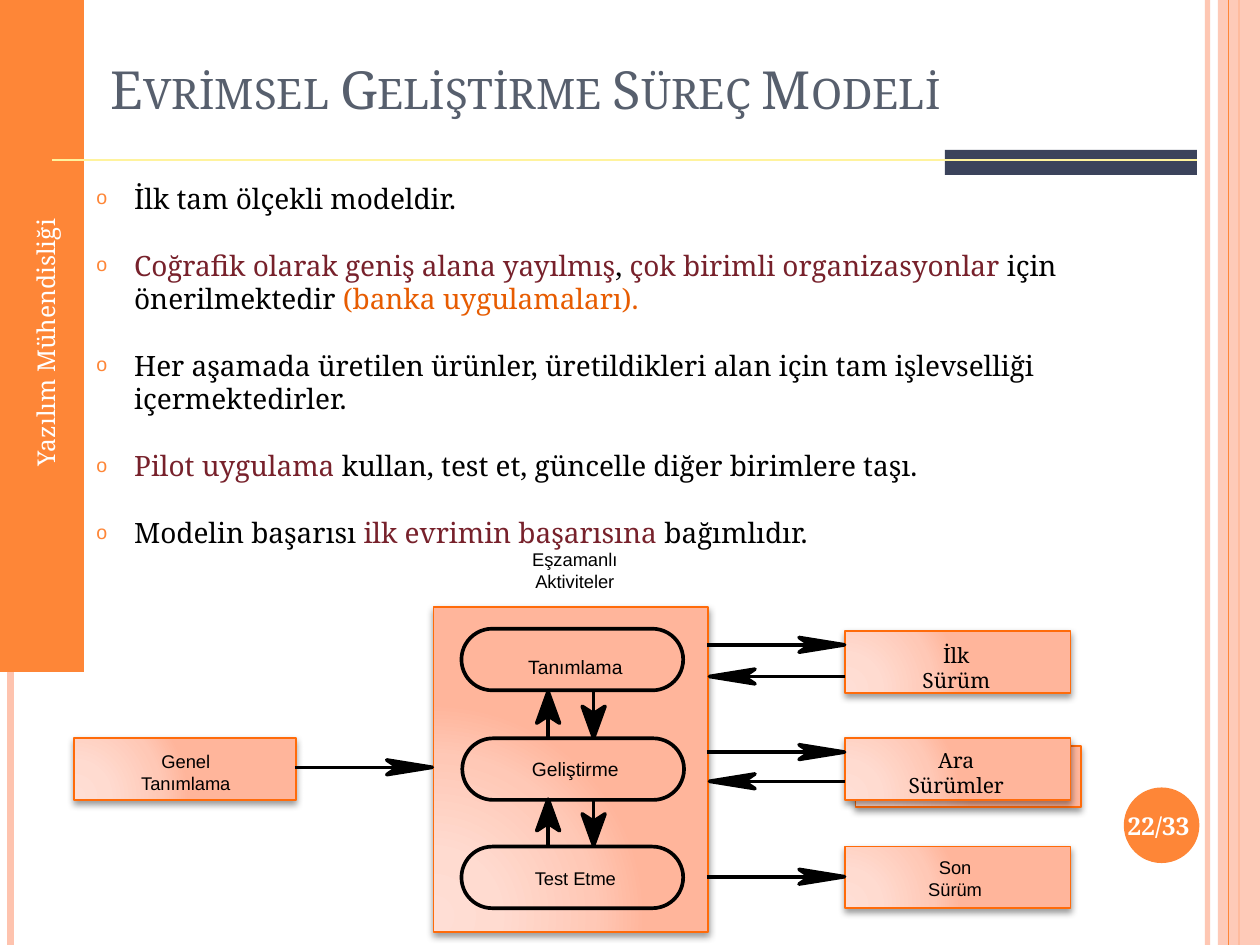
import math
from lxml import etree
from pptx import Presentation
from pptx import util as u
from pptx.dml.color import RGBColor
from pptx.enum import lang, shapes, text
from pptx.oxml import ns

Pt = u.Pt
SERIF, SANS = "Noto Serif", "Arial"
BLACK, WHITE, ORANGE, PEACH = "000000", "FFFFFF", "FE8637", "FEC3AE"
WINE, RUST, SLATE, NAVY, CREAM = "77212B", "E75C01", "575F6D", "3B435B", "FFF39D"
KIND = shapes.MSO_SHAPE
CENTER, LEFT, RIGHT = text.PP_ALIGN.CENTER, text.PP_ALIGN.LEFT, text.PP_ALIGN.RIGHT
TOP, MIDDLE, BOTTOM = (text.MSO_ANCHOR.TOP, text.MSO_ANCHOR.MIDDLE,
                       text.MSO_ANCHOR.BOTTOM)

# Content
TITLE = "Evrimsel Geliştirme Süreç Modeli"
BULLETS = [
    [("İlk tam ölçekli modeldir.", BLACK)],
    [("Coğrafik olarak geniş alana yayılmış", WINE), (", ", BLACK),
     ("çok birimli organizasyonlar", WINE), (" için önerilmektedir ", BLACK),
     ("(banka uygulamaları).", RUST)],
    [("Her aşamada üretilen ürünler, üretildikleri alan için tam işlevselliği "
      "içermektedirler.", BLACK)],
    [("Pilot uygulama", WINE),
     (" kullan, test et, güncelle diğer birimlere taşı.", BLACK)],
    [("Modelin başarısı ", BLACK), ("ilk evrimin başarısına", WINE),
     (" bağımlıdır.", BLACK)],
]
# Diagram labels: lines, left, top, width, font, size, line pitch
LABELS = [
    (["Eşzamanlı", "Aktiviteler"], 290, 309.6, 77, SANS, 10.5, 12.5),
    (["Tanımlama"], 273, 371.5, 111.6, SANS, 11, 12.6),
    (["Geliştirme"], 273, 430, 111.6, SANS, 11, 12.6),
    (["Test Etme"], 273, 492, 111.6, SANS, 10.5, 12.5),
    (["Genel", "Tanımlama"], 50.4, 425, 111.6, SANS, 10.5, 12.5),
    (["İlk", "Sürüm"], 486.7, 363.6, 119.5, SERIF, 12, 14.4),
    (["Ara", "Sürümler"], 486.7, 423.4, 119.5, SERIF, 12, 14.4),
    (["Son", "Sürüm"], 490, 486, 111.6, SANS, 10.5, 12.5),
]
BOX_W, BOX_H = 128.8, 35.2
STEP_W = 126.7
STAGES = [(263.7, 359.3), (264.2, 421.9), (263.7, 483.8)]
RELEASES = [(483, 360.7), (483, 421.9), (483, 483.8)]
# Arrows: start x, start y, tip x, tip y
STAGE_R, RELEASE_L = 404, 482.6
ARROWS = [(168.5, 438.5, 247, 438.5)]
ARROWS += [(STAGE_R, y, RELEASE_L, y) for y in (368.5, 429.8, 501)]
ARROWS += [(RELEASE_L, y, 405.4, y) for y in (386.6, 446.5)]
for top in (395.2, 456.7):
    ARROWS += [(339.2, top, 339.2, top + 26.4), (313.2, top + 26.2, 313.2, top)]

deck = Presentation()
deck.slide_width, deck.slide_height = Pt(720), Pt(540)
page = deck.slides.add_slide(deck.slide_layouts[6])


def rgb(value):
    return RGBColor.from_string(value)


def add(parent, tag, **attributes):
    return etree.SubElement(parent, ns.qn("a:" + tag), attributes)


def set_alpha(shape, percent):
    color = next(shape._element.spPr.iter(ns.qn("a:srgbClr")))
    add(color, "alpha", val=str(percent * 1000))


def shape(kind, left, top, width, height, fill=None, line=None, weight=1):
    item = page.shapes.add_shape(kind, Pt(left), Pt(top), Pt(width), Pt(height))
    return style(item, fill, line, weight)


def style(item, fill, line, weight):
    item.shadow.inherit = False
    if fill:
        item.fill.solid()
        item.fill.fore_color.rgb = rgb(fill)
    else:
        item.fill.background()
    if line:
        item.line.color.rgb = rgb(line)
        item.line.width = Pt(weight)
    else:
        item.line.fill.background()
    return item


def line(x1, y1, x2, y2, color, weight):
    item = page.shapes.add_connector(shapes.MSO_CONNECTOR.STRAIGHT,
                                     Pt(x1), Pt(y1), Pt(x2), Pt(y2))
    item.line.color.rgb = rgb(color)
    item.line.width = Pt(weight)
    add(item._element.spPr, "effectLst")
    return item


def glossy_box(left, top, width=BOX_W, height=BOX_H):
    item = shape(KIND.RECTANGLE, left, top, width, height, None, "FF6B0A", 1)
    props = item._element.spPr
    glow = etree.Element(ns.qn("a:gradFill"), rotWithShape="1")
    stops = add(glow, "gsLst")
    for place, color in [(0, "FFDED5"), (30, "FFDBD0"), (75, "FFC8B6"), (100, "FFB59B")]:
        add(add(stops, "gs", pos=str(place * 1000)), "srgbClr", val=color)
    add(add(glow, "path", path="circle"), "fillToRect",
        l="5000", t="100000", r="120000", b="10000")
    props.replace(props.find(ns.qn("a:noFill")), glow)
    shadow = add(props.find(ns.qn("a:effectLst")), "outerShdw", blurRad=str(Pt(4)),
                 dist=str(Pt(2)), dir="5400000", rotWithShape="0")
    add(add(shadow, "srgbClr", val=BLACK), "alpha", val="40000")


def arrow(x1, y1, x2, y2):
    length = math.hypot(x2 - x1, y2 - y1)
    dx, dy = (x2 - x1) / length, (y2 - y1) / length
    back, half, notch, shaft = (26, 4.2, 19.8, 16.5) if dx else (18, 6.5, 13.8, 10.8)

    def point(along, across):
        return (Pt(x2 - along * dx - across * dy), Pt(y2 - along * dy + across * dx))

    line(x1, y1, x2 - shaft * dx, y2 - shaft * dy, BLACK, 2.1)
    head = page.shapes.build_freeform(*point(0, 0), scale=1.0)
    head.add_line_segments([point(back, half), point(notch, 0), point(back, -half)])
    style(head.convert_to_shape(), BLACK, BLACK, 2.1)


def add_text(paras, left, top, width, height, font, size, align=CENTER, anchor=TOP,
             pitch=None, gap=0, bold=False, bullet=False, wrap=True):
    box = page.shapes.add_textbox(Pt(left), Pt(top), Pt(width), Pt(height))
    frame = box.text_frame
    frame.word_wrap, frame.vertical_anchor = wrap, anchor
    for index, spans in enumerate(paras):
        para = frame.paragraphs[0] if index == 0 else frame.add_paragraph()
        if bullet:
            props = para._p.get_or_add_pPr()
            props.set("marL", str(Pt(21.6)))
            props.set("indent", str(-Pt(21.6)))
            add(add(props, "buClr"), "srgbClr", val=ORANGE)
            add(props, "buSzPct", val="70000")
            add(props, "buFont", typeface=SANS)
            add(props, "buChar", char="o")
        para.alignment = align
        para.space_after = Pt(gap)
        if pitch:
            para.line_spacing = Pt(pitch)
        para.font.name, para.font.size, para.font.bold = font, Pt(size), bold
        for words, color in spans:
            span = para.add_run()
            span.text = words
            span.font.color.rgb = rgb(color)
            span.font.language_id = lang.MSO_LANGUAGE_ID.TURKISH
    return box


# Page frame
set_alpha(line(690, 0, 690, 540, PEACH, 3), 93)
line(6, 0, 6, 540, PEACH, 4.5)
line(708, 0, 708, 540, ORANGE, 1.5)
set_alpha(shape(KIND.RECTANGLE, 696, 0, 24, 540, PEACH), 87)
line(702, 0, 702, 540, ORANGE, 0.75)
shape(KIND.OVAL, 642.2, 450, 43.2, 43.2, ORANGE)
shape(KIND.RECTANGLE, 0, 0, 48, 384, ORANGE)
shape(KIND.RECTANGLE, 540, 85.6, 144, 14.4, NAVY)
line(30, 91.4, 684, 91.4, CREAM, 1.5)

# Title, bullets, page number and side label
title = add_text([[(TITLE, SLATE)]], 56.2, 16.6, 560, 55.4, SERIF, 30, LEFT, BOTTOM)
title.text_frame.paragraphs[0].runs[0]._r.get_or_add_rPr().set("cap", "small")
add_text(BULLETS, 48, 100, 615.6, 396.7, SERIF, 16, LEFT,
         pitch=19.15, gap=19.15, bullet=True)
add_text([[("22/33", WHITE)]], 635.8, 451.4, 52.6, 41, SERIF, 14,
         anchor=MIDDLE, bold=True, wrap=False)
side = add_text([[("Yazılım Mühendisliği", WHITE)]], -53.3, 182.2, 158.4, 30.2,
                SERIF, 14, RIGHT, MIDDLE)
side.rotation = 270

# Diagram boxes, stages, arrows and labels
glossy_box(488.9, 426.2)
glossy_box(247.7, 347, 157, 185.8)
for left, top in RELEASES:
    glossy_box(left, top)
glossy_box(42.5, 421.9, STEP_W)
for left, top in STAGES:
    stage = shape(KIND.ROUNDED_RECTANGLE, left, top, STEP_W, BOX_H, None, BLACK, 2.1)
    stage.adjustments[0] = 0.5
for ends in ARROWS:
    arrow(*ends)
for lines, left, top, width, font, size, pitch in LABELS:
    add_text([[(words, BLACK)] for words in lines], left, top, width, 29.5,
             font, size, pitch=pitch)

deck.save("out.pptx")
